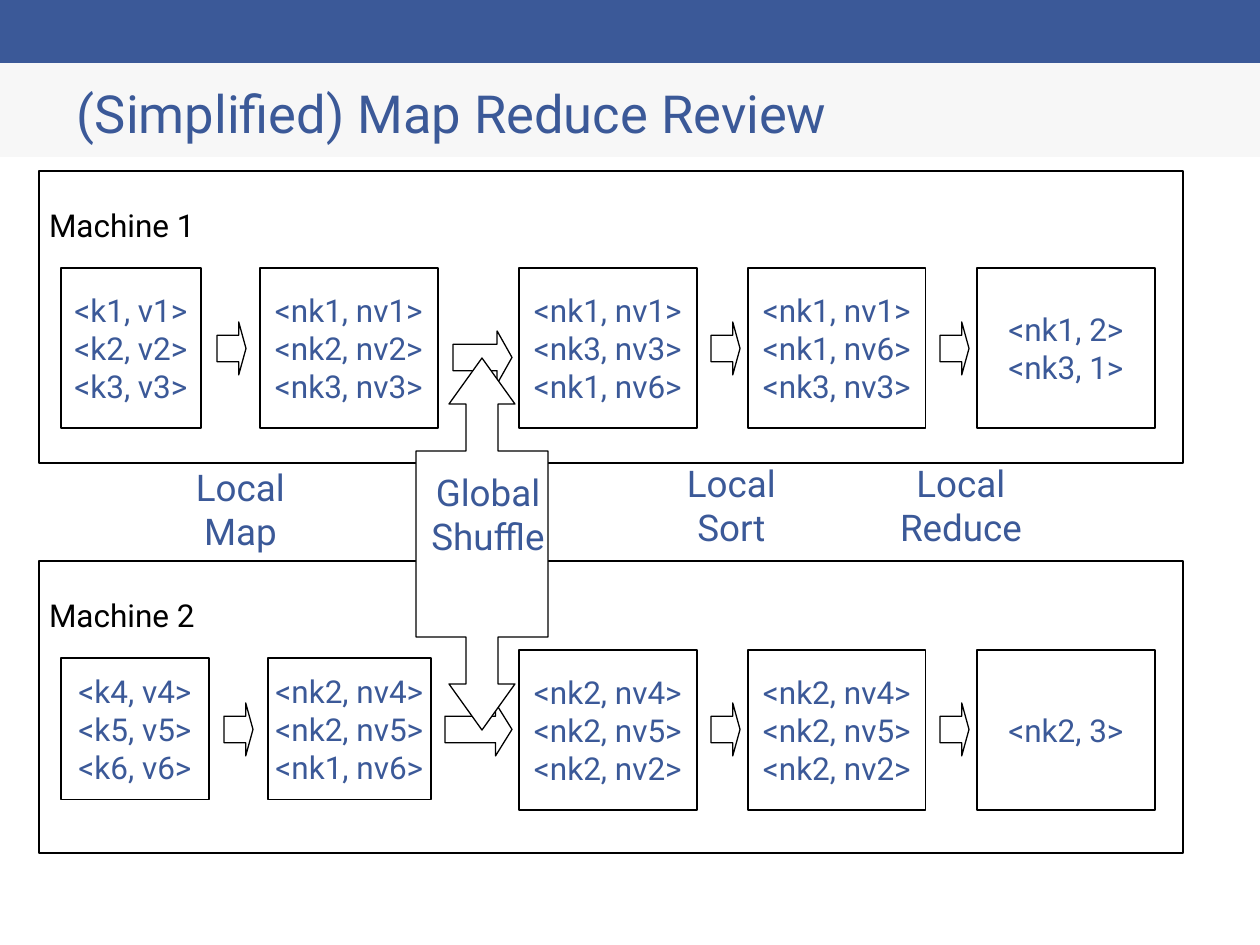
import pptx
import pptx.util
import pptx.dml.color
import pptx.enum.shapes
import pptx.enum.text
import pptx.oxml.ns
import lxml.etree

RGB = pptx.dml.color.RGBColor
KIND = pptx.enum.shapes.MSO_SHAPE
ALIGN = pptx.enum.text.PP_ALIGN
ANCHOR = pptx.enum.text.MSO_ANCHOR
FIT = pptx.enum.text.MSO_AUTO_SIZE

BLUE = RGB(0x3B, 0x59, 0x98)
GREY = RGB(0xF7, 0xF7, 0xF7)
WHITE = RGB(0xFF, 0xFF, 0xFF)
BLACK = RGB(0, 0, 0)
FONT = "Roboto"
PX = pptx.util.Inches(1) // 126


def emu(*vals):
    return [val * PX for val in vals]


def write(shape, text, size=18, color=BLUE, align=ALIGN.CENTER,
          anchor=ANCHOR.MIDDLE, pad=(13, 6, 13, 6), wrap=False, fit=FIT.NONE):
    frame = shape.text_frame
    frame.text = text
    frame.word_wrap = wrap
    frame.auto_size = fit
    frame.vertical_anchor = anchor
    (frame.margin_left, frame.margin_top,
     frame.margin_right, frame.margin_bottom) = emu(*pad)
    for para in frame.paragraphs:
        para.alignment = align
        para.font.size = pptx.util.Pt(size)
        para.font.name = FONT
        para.font.color.rgb = color


def paint(shape, fill=None, line=BLACK, alpha=None):
    shape.shadow.inherit = False
    if fill is None:
        shape.fill.background()
    else:
        shape.fill.solid()
        shape.fill.fore_color.rgb = fill
    if alpha is not None:
        tone = shape.fill._xPr.find(".//" + pptx.oxml.ns.qn("a:srgbClr"))
        mark = lxml.etree.SubElement(tone, pptx.oxml.ns.qn("a:alpha"))
        mark.set("val", str(alpha * 1000))
    if line is None:
        shape.line.fill.background()
    else:
        shape.line.color.rgb = line
        shape.line.width = pptx.util.Pt(0.75)


def add(slide, kind, box, **look):
    shape = slide.shapes.add_shape(kind, *emu(*box))
    paint(shape, **look)
    return shape


def header(slide, box, text):
    x, y, w, h = box
    add(slide, KIND.RECTANGLE, (x, y + 63, w, h - 63), fill=GREY, line=None)
    add(slide, KIND.RECTANGLE, (x, y, w, 63), fill=BLUE, line=None)
    title = slide.shapes.title
    title.left, title.top, title.width, title.height = emu(x + 77, y + 74, 1106, 77)
    write(title, text, size=30, align=ALIGN.LEFT, pad=(0, 0, 0, 0), wrap=True)
    title._element.getparent().append(title._element)


def machine(slide, box, name, cards, arrows):
    x, y, w, h = box
    room = add(slide, KIND.RECTANGLE, box)
    write(room, name, color=BLACK, align=ALIGN.LEFT, anchor=ANCHOR.TOP,
          pad=(10, 35, 10, 5))
    for left, top, width, height, text in cards:
        card = add(slide, KIND.RECTANGLE, (x + left, y + top, width, height),
                   fill=WHITE, alpha=50)
        write(card, text)
    for left, top, width, head in arrows:
        arrow = add(slide, KIND.RIGHT_ARROW, (x + left, y + top, width, 53),
                    fill=WHITE)
        arrow.adjustments[0] = 0.5
        arrow.adjustments[1] = head


def label(slide, box, text):
    note = slide.shapes.add_textbox(*emu(*box))
    write(note, text, size=21, anchor=ANCHOR.TOP, fit=FIT.SHAPE_TO_FIT_TEXT)


def shuffle(slide, box, text):
    x, y, w, h = box
    half, tip = w // 2, 93
    upper = [(0, 0), (33, tip // 2), (16, tip // 2), (16, tip), (half, tip)]
    right = upper + [(dx, h - dy) for dx, dy in reversed(upper)]
    left = [(-dx, dy) for dx, dy in reversed(right)]
    path = [(x + half + dx, y + dy) for dx, dy in right + left[1:-1]]
    pen = slide.shapes.build_freeform(*path[0], scale=PX)
    pen.add_line_segments(path[1:], close=True)
    paint(pen.convert_to_shape(), fill=WHITE)
    label(slide, (x - 1, y + 106, 146, 101), text)


def main():
    deck = pptx.Presentation()
    deck.slide_width, deck.slide_height = emu(1260, 945)
    slide = deck.slides.add_slide(deck.slide_layouts[5])
    header(slide, (0, 0, 1260, 157), "(Simplified) Map Reduce Review")

    cols = (480, 709, 938)
    first = [(22, 97, 140, 160, "<k1, v1>\n<k2, v2>\n<k3, v3>"),
             (221, 97, 178, 160, "<nk1, nv1>\n<nk2, nv2>\n<nk3, nv3>")]
    second = [(22, 97, 148, 142, "<k4, v4>\n<k5, v5>\n<k6, v6>"),
              (229, 97, 163, 142, "<nk2, nv4>\n<nk2, nv5>\n<nk1, nv6>")]
    top = ("<nk1, nv1>\n<nk3, nv3>\n<nk1, nv6>",
           "<nk1, nv1>\n<nk1, nv6>\n<nk3, nv3>", "<nk1, 2>\n<nk3, 1>")
    low = ("<nk2, nv4>\n<nk2, nv5>\n<nk2, nv2>",) * 2 + ("<nk2, 3>",)
    first += [(col, 97, 178, 160, text) for col, text in zip(cols, top)]
    second += [(col, 89, 178, 160, text) for col, text in zip(cols, low)]

    machine(slide, (39, 561, 1144, 292), "Machine 2", second,
            [(185, 142, 29, 0.25), (406, 142, 67, 0.31)]
            + [(col - 37, 142, 29, 0.25) for col in cols[1:]])
    machine(slide, (39, 171, 1144, 292), "Machine 1", first,
            [(178, 151, 29, 0.25), (414, 160, 59, 0.28)]
            + [(col - 37, 151, 29, 0.25) for col in cols[1:]])

    label(slide, (183, 459, 115, 101), "Local\nMap")
    shuffle(slide, (416, 358, 133, 372), "Global\nShuffle")
    label(slide, (674, 455, 115, 101), "Local\nSort")
    label(slide, (885, 455, 152, 101), "Local\nReduce")
    deck.save("out.pptx")


if __name__ == "__main__":
    main()
